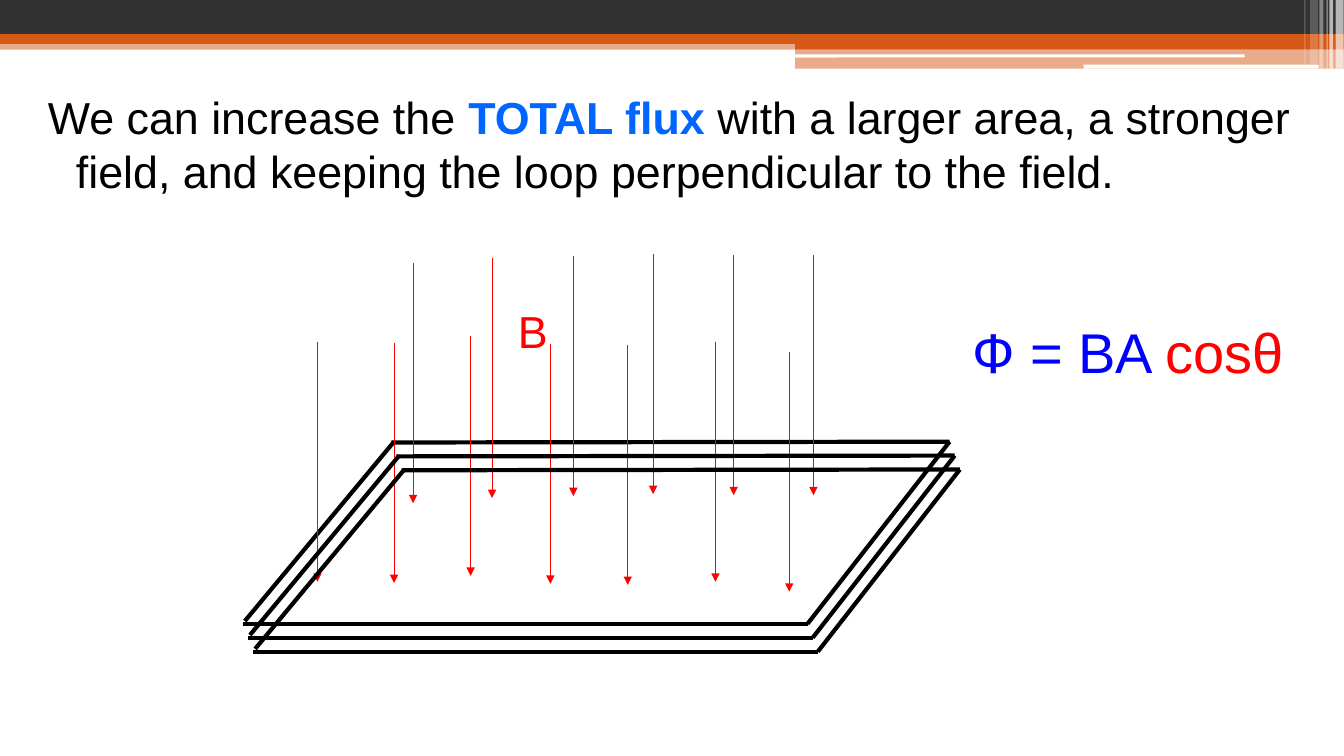
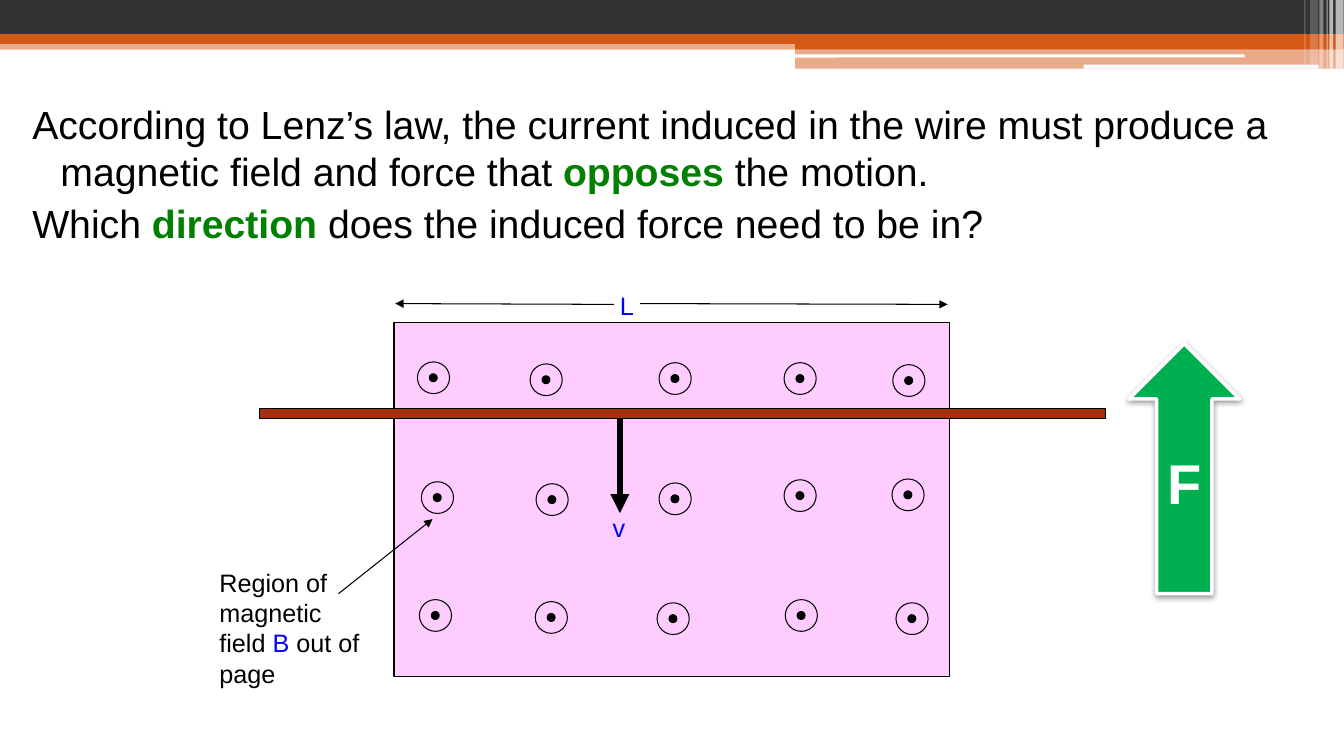
"""Build two slides on magnetic flux and Lenz's law."""
from dataclasses import dataclass
from typing import Any

from lxml import etree
from pptx import Presentation
from pptx.dml.color import RGBColor
from pptx.enum import shapes as kinds, text as types
from pptx.oxml import parse_xml
from pptx.oxml.ns import nsdecls, qn
from pptx.util import Cm, Pt

FONT = "Arial"
BLACK, WHITE, DARK = "000000", "FFFFFF", "323232"
ORANGE, RED, BLUE = "D55816", "FF0000", "0000FF"
SKY, LEAF, GREEN = "0066FF", "008000", "00B050"
PINK, RUST = "FFCCFF", "A5300F"
WIDE = 33.87
RECT = kinds.MSO_SHAPE.RECTANGLE
ROUND = kinds.MSO_SHAPE.ROUNDED_RECTANGLE
OVAL = kinds.MSO_SHAPE.OVAL
LEN = 6.05


@dataclass(frozen=True)
class Box:
    """Place and size in centimetres."""
    x: float
    y: float
    w: float
    h: float

    def emu(self) -> tuple:
        """Return the four lengths."""
        return Cm(self.x), Cm(self.y), Cm(self.w), Cm(self.h)


@dataclass(frozen=True)
class Band:
    """One bar of the shared header."""
    box: Box
    color: str
    alpha: int = 100
    kind: Any = RECT


@dataclass(frozen=True)
class Part:
    """A stretch of text with its own look."""
    words: str
    color: str | None = None
    bold: bool | None = None


@dataclass(frozen=True)
class Line:
    """A straight line between two points in centimetres."""
    x1: float
    y1: float
    x2: float
    y2: float


BANDS = (
    Band(Box(0, 1.02, WIDE, 0.23), ORANGE, 50),
    Band(Box(0, 0, WIDE, 0.86), DARK),
    Band(Box(0, 0.86, WIDE, 0.25), ORANGE),
    Band(Box(20.04, 0.99, 13.83, 0.25), ORANGE),
    Band(Box(20.04, 1.22, 13.83, 0.51), ORANGE, 50),
    Band(Box(20.02, 1.37, 11.35, 0.08), WHITE, kind=ROUND),
    Band(Box(27.31, 1.63, 5.92, 0.1), WHITE, kind=ROUND),
    Band(Box(33.66, 0, 0.2, 1.73), WHITE, 65),
    Band(Box(33.5, 0, 0.1, 1.73), WHITE, 65),
    Band(Box(33.43, 0, 0.03, 1.73), WHITE, 60),
    Band(Box(33.25, 0, 0.1, 1.73), WHITE, 40),
    Band(Box(33.02, 0, 0.2, 1.63), WHITE, 20),
    Band(Box(32.87, 0, 0.03, 1.63), WHITE, 30),
)
COIL = (
    Line(6.17, 15.65, 9.93, 11.13),
    Line(20.35, 15.72, 23.93, 11.13),
    Line(20.35, 15.72, 6.12, 15.72),
    Line(23.93, 11.13, 9.86, 11.15),
)
FLUX = (
    (8, 8.61), (9.93, 8.64), (11.86, 8.46), (13.87, 8.66),
    (15.82, 8.69), (18.03, 8.61), (19.89, 8.86),
    (10.41, 6.63), (12.4, 6.5), (14.45, 6.45),
    (16.46, 6.4), (18.49, 6.43), (20.5, 6.43),
)
RINGS = (
    (10.52, 9.12), (13.36, 9.17), (16.61, 9.14), (19.76, 9.14), (22.5, 9.19),
    (10.62, 12.14), (13.51, 12.19), (16.61, 12.17), (19.76, 12.09),
    (22.48, 12.07),
    (10.57, 15.11), (13.49, 15.16), (16.56, 15.19), (19.79, 15.11),
    (22.58, 15.19),
)


def rgb(code: str) -> RGBColor:
    """Turn a hex string into a colour."""
    return RGBColor.from_string(code)


def shape(pool: Any, kind: Any, box: Box, fill: str | None = None,
          edge: str | None = None, width: float = 0.75) -> Any:
    """Draw a preset shape."""
    item = pool.add_shape(kind, *box.emu())
    item.shadow.inherit = False
    if fill:
        item.fill.solid()
        item.fill.fore_color.rgb = rgb(fill)
    else:
        item.fill.background()
    if edge:
        item.line.color.rgb = rgb(edge)
        item.line.width = Pt(width)
    else:
        item.line.fill.background()
    return item


def line(pool: Any, path: Line, color: str = BLACK, width: float = 0.75,
         head: bool = True) -> None:
    """Draw a line, with an arrowhead at its end if asked."""
    item = pool.add_connector(kinds.MSO_CONNECTOR.STRAIGHT, Cm(path.x1),
                              Cm(path.y1), Cm(path.x2), Cm(path.y2))
    item.line.color.rgb = rgb(color)
    item.line.width = Pt(width)
    props = item.element.spPr
    if head:
        etree.SubElement(props.find(qn("a:ln")), qn("a:tailEnd"),
                         type="triangle")
    etree.SubElement(props, qn("a:effectLst"))


def fill_para(para: Any, parts: tuple, size: float,
              color: str = BLACK) -> None:
    """Write the parts into a paragraph."""
    para.font.name = FONT
    para.font.size = Pt(size)
    para.font.color.rgb = rgb(color)
    for part in parts:
        run = para.add_run()
        run.text = part.words
        if part.color:
            run.font.color.rgb = rgb(part.color)
        if part.bold:
            run.font.bold = True


def label(pool: Any, box: Box, parts: tuple, size: float,
          color: str = BLACK, wrap: bool = True) -> None:
    """Place a text box."""
    frame = pool.add_textbox(*box.emu()).text_frame
    frame.word_wrap = wrap
    fill_para(frame.paragraphs[0], parts, size, color)


def page(deck: Any, box: Box, paras: tuple, size: float) -> Any:
    """Add a slide with its body text and return its shapes."""
    slide = deck.slides.add_slide(deck.slide_layouts[1])
    title = slide.shapes.title.element
    title.getparent().remove(title)
    body = slide.placeholders[1]
    body.left, body.top, body.width, body.height = box.emu()
    frame = body.text_frame
    frame.auto_size = types.MSO_AUTO_SIZE.NONE
    for i, parts in enumerate(paras):
        para = frame.add_paragraph() if i else frame.paragraphs[0]
        para.space_before = Pt(3 if i else 0)
        props = para._p.get_or_add_pPr()
        props.set("marL", str(Cm(1.02)))
        props.set("indent", str(Cm(-0.71)))
        etree.SubElement(props, qn("a:buNone"))
        fill_para(para, parts, size)
    return slide.shapes


def header(deck: Any, pool: Any) -> None:
    """Draw the bands and hand them to the slide master."""
    tree = deck.slide_master.shapes.element
    for i, band in enumerate(BANDS):
        item = shape(pool, band.kind, band.box, band.color)
        if band.alpha < 100:
            tint = item.element.spPr.find(
                f"{qn('a:solidFill')}/{qn('a:srgbClr')}")
            etree.SubElement(tint, qn("a:alpha"), val=str(band.alpha * 1000))
        item.element.nvSpPr.cNvPr.set("id", str(100 + i))
        tree.append(item.element)


def coil(pool: Any, turn: int) -> None:
    """Draw one turn of the wire loop."""
    group = pool.add_group_shape().shapes
    dx, dy = turn * 0.13, turn * 0.35
    for side in COIL:
        line(group, Line(side.x1 + dx, side.y1 + dy, side.x2 + dx,
                         side.y2 + dy), width=3, head=False)


def ring(pool: Any, x: float, y: float) -> None:
    """Draw a field mark pointing out of the page."""
    group = pool.add_group_shape().shapes
    shape(group, OVAL, Box(x, y, 0.81, 0.8), edge=BLACK)
    shape(group, OVAL, Box(x + 0.3, y + 0.3, 0.2, 0.2), BLACK, BLACK)


def force(pool: Any) -> None:
    """Draw the block arrow for the force."""
    item = shape(pool, kinds.MSO_SHAPE.UP_ARROW,
                 Box(28.45, 8.66, 2.79, 6.3), GREEN, WHITE, 2.5)
    props = item.element.spPr
    props.remove(props.find(qn("a:effectLst")))
    props.append(parse_xml(
        f'<a:effectLst {nsdecls("a")}><a:outerShdw blurRad="{Pt(4.1)}" '
        f'dist="{Pt(2)}" dir="5400000" rotWithShape="0">'
        f'<a:srgbClr val="{BLACK}"><a:alpha val="40000"/></a:srgbClr>'
        '</a:outerShdw></a:effectLst>'))
    frame = item.text_frame
    frame.vertical_anchor = types.MSO_ANCHOR.MIDDLE
    para = frame.paragraphs[0]
    para.alignment = types.PP_ALIGN.CENTER
    fill_para(para, (Part("F", bold=True),), 40, WHITE)


def flux(deck: Any) -> None:
    """Build the slide on total flux."""
    pool = page(deck, Box(0.64, 2.13, 32.39, 15.88), ((
        Part("We can increase the "),
        Part("TOTAL flux ", SKY, True),
        Part("with a larger area, a stronger field, and keeping the loop "
             "perpendicular to the field.")),), 32)
    header(deck, pool)
    coil(pool, 0)
    for x, y in FLUX:
        line(pool, Line(x, y, x, y + LEN), RED)
    label(pool, Box(12.8, 7.54, 1.7, 1.6), (Part("B"),), 32, RED)
    for turn in (1, 2):
        coil(pool, turn)
    label(pool, Box(24.26, 7.87, 8.84, 1.96),
          (Part("Ф = BA "), Part("cosθ", RED)), 40, BLUE, wrap=False)


def lenz(deck: Any) -> None:
    """Build the slide on the induced force."""
    pool = page(deck, Box(0.25, 2.41, 33.15, 15.98), (
        (Part("According to Lenz’s law, the current induced in the wire "
              "must produce a magnetic field and force that "),
         Part("opposes", LEAF, True), Part(" the motion.")),
        (Part("Which "), Part("direction", LEAF, True),
         Part(" does the induced force need to be in?"))), 28)
    shape(pool, RECT, Box(9.93, 8.13, 14, 8.92), PINK, BLACK)
    for x, y in RINGS:
        ring(pool, x, y)
    shape(pool, RECT, Box(6.53, 10.29, 21.34, 0.25), RUST, BLACK)
    line(pool, Line(15.62, 10.54, 15.62, 12.93), width=4.5)
    label(pool, Box(15.19, 12.78, 1.12, 1.02), (Part("v"),), 18, BLUE)
    label(pool, Box(15.37, 7.19, 1.32, 1.02), (Part("L"),), 18, BLUE)
    line(pool, Line(16.13, 7.65, 23.88, 7.67))
    line(pool, Line(15.47, 7.67, 9.96, 7.65))
    note = pool.add_group_shape().shapes
    label(note, Box(5.28, 14.17, 4.34, 3.3),
          (Part("Region of magnetic field "), Part("B", BLUE),
           Part(" out of page")), 18)
    line(note, Line(8.53, 14.96, 10.9, 13.08))
    force(pool)


def main() -> None:
    """Build and save the deck."""
    deck = Presentation()
    deck.slide_width, deck.slide_height = Cm(WIDE), Cm(19.05)
    flux(deck)
    lenz(deck)
    deck.save("out.pptx")


if __name__ == "__main__":
    main()
